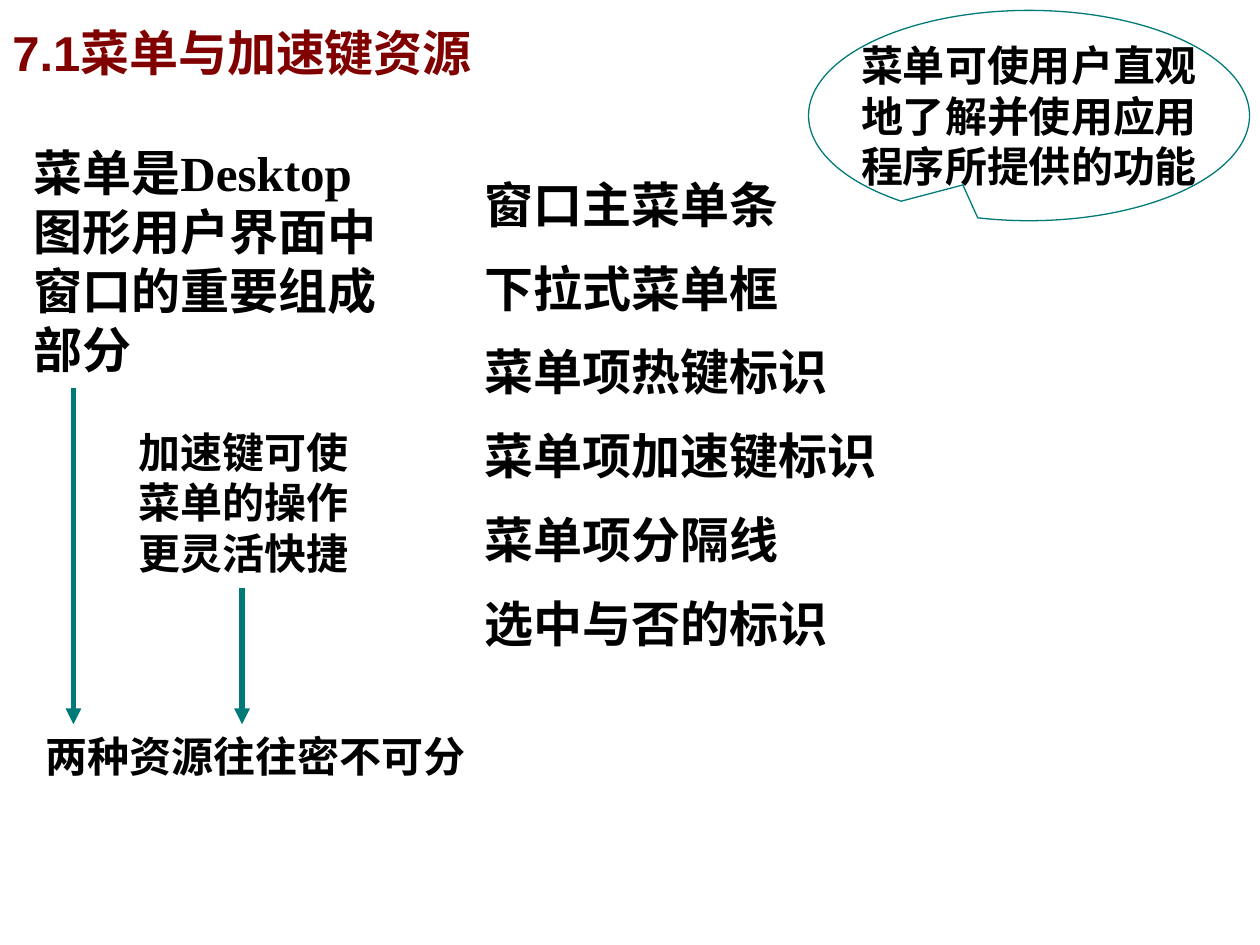
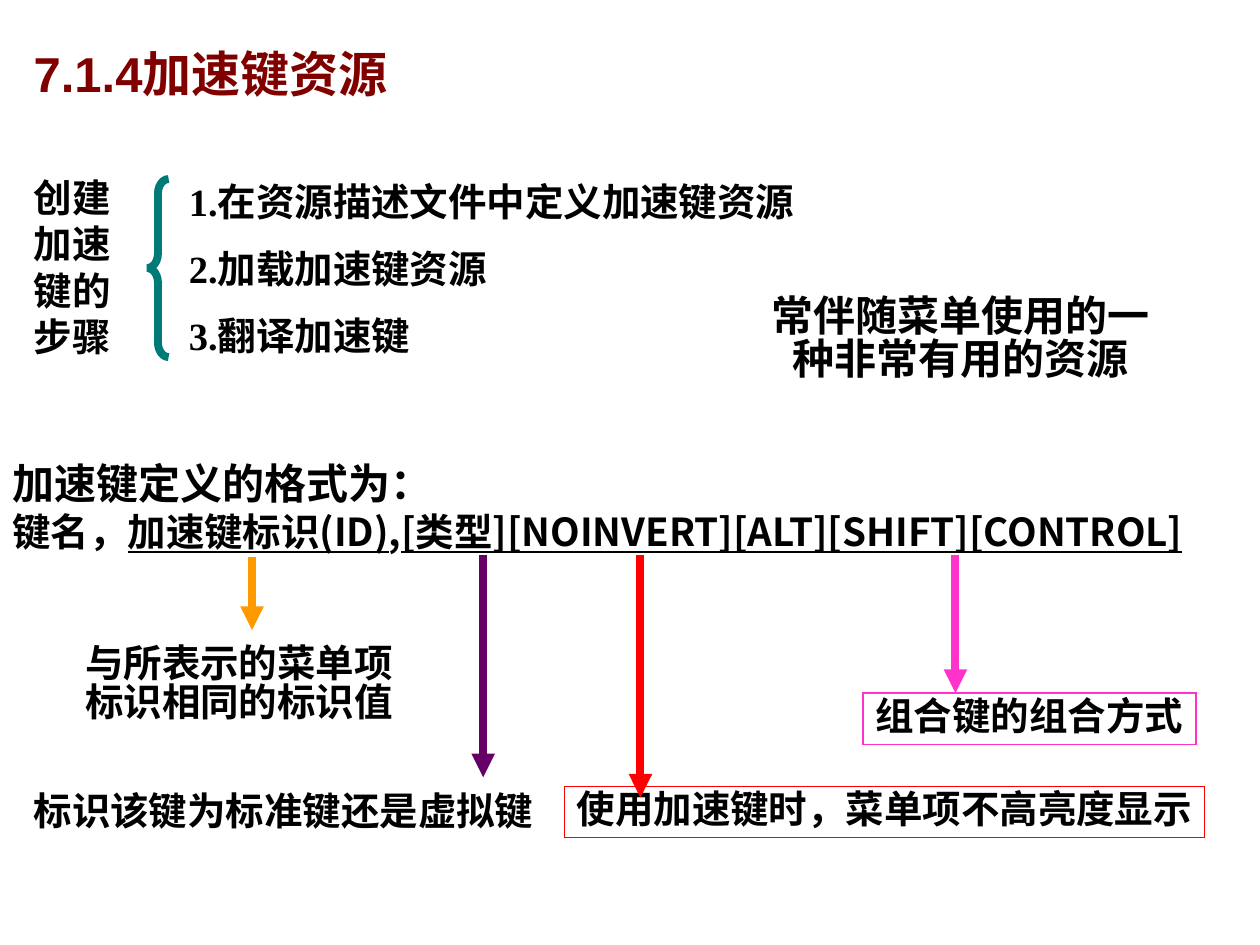
from pptx import Presentation
from pptx.dml.color import RGBColor
from pptx.enum.shapes import MSO_CONNECTOR, MSO_SHAPE
from pptx.enum.text import MSO_ANCHOR, PP_ALIGN
from pptx.oxml.ns import qn
from pptx.util import Cm, Pt

LINE = MSO_CONNECTOR.STRAIGHT
RECT = MSO_SHAPE.RECTANGLE
BRACE = MSO_SHAPE.LEFT_BRACE
CALLOUT = MSO_SHAPE.OVAL_CALLOUT
TOP, MIDDLE = MSO_ANCHOR.TOP, MSO_ANCHOR.MIDDLE
LEFT, CENTER = PP_ALIGN.LEFT, PP_ALIGN.CENTER

SERIF, SANS, CJK = "Times New Roman", "Arial", "Noto Sans CJK SC"
COLORS = {
    "text": "000000", "title": "800000", "teal": "007A77", "pink": "FF33CC",
    "red": "FF0000", "purple": "660066", "orange": "FF9900",
}

# Slide 1 content (lengths in cm)
MENU_TITLE = ("7.1菜单与加速键资源", (0, 0, 12.7, 2.11))
MENU_INTRO = "菜单是Desktop图形用户界面中窗口的重要组成部分"
MENU_BENEFIT = ["菜单可使用户直观", "地了解并使用应用", "程序所提供的功能"]
ACCEL_BENEFIT = "加速键可使菜单的操作更灵活快捷"
CONCLUSION = "两种资源往往密不可分"
MENU_PARTS = ["窗口主菜单条", "下拉式菜单框", "菜单项热键标识",
              "菜单项加速键标识", "菜单项分隔线", "选中与否的标识"]
MENU_ARROWS = [(1.48, 7.82, 14.6), (4.88, 11.86, 14.6)]  # x, top, bottom

# Slide 2 content
ACCEL_TITLE = ("7.1.4加速键资源", (0.43, 0.63, 10.16, 1.7))
STEPS_LABEL = "创建加速键的步骤"
STEPS = [("1.在资源描述文件中定义加速键资源", 13.1),
         ("2.加载加速键资源", 6.9), ("3.翻译加速键", 5.35)]  # text, width
ACCEL_NOTE = "常伴随菜单使用的一种非常有用的资源"
FORMAT_HEAD = "加速键定义的格式为："
FORMAT_RUNS = [("键名，", False), ("加速键标识(ID)", True), (",", False),
               ("[类型][NOINVERT][ALT][SHIFT][CONTROL]", True)]
# text, box, font, frame colour, wrap
FIELD_NOTES = [
    ("组合键的组合方式", (17.4, 13.97, 6.71, 1.04), SERIF, "pink", False),
    ("使用加速键时，菜单项不高亮度显示", (11.38, 15.85, 12.9, 1.04), CJK, "red", False),
    ("标识该键为标准键还是虚拟键", (0.43, 15.88, 10.8, 1.04), SERIF, None, False),
    ("与所表示的菜单项标识相同的标识值", (1.47, 12.9, 6.99, 1.85), SERIF, None, True),
]
FIELD_ARROWS = [("pink", 19.26, 11.18, 13.97), ("red", 12.91, 11.18, 16.08),
                ("purple", 9.74, 11.18, 15.67), ("orange", 5.08, 11.23, 12.7)]


def rgb(name):
    return RGBColor.from_string(COLORS[name])


def add_run(p, text, size, font=SERIF, color="text", underline=False):
    r = p.add_run()
    r.text = text
    f = r.font
    f.size, f.bold, f.name = Pt(size), True, font
    f.color.rgb = rgb(color)
    if underline:
        f.underline = True
    ea = r._r.get_or_add_rPr().makeelement(qn("a:ea"), {"typeface": CJK})
    f._element.find(qn("a:latin")).addnext(ea)


def fill_text(sp, lines, size, font=SERIF, color="text", align=LEFT,
              anchor=TOP, wrap=True, spacing=None):
    tf = sp.text_frame
    tf.word_wrap, tf.vertical_anchor = wrap, anchor
    for i, line in enumerate(lines):
        p = tf.paragraphs[0] if i == 0 else tf.add_paragraph()
        p.alignment = align
        if spacing:
            p.line_spacing = spacing
        add_run(p, line, size, font, color)
    return tf


def add_text(s, box, text, size, **style):
    return fill_text(s.shapes.add_textbox(*map(Cm, box)), [text], size, **style)


def add_outline(s, kind, box, color, width, adjustments=()):
    sp = s.shapes.add_shape(kind, *map(Cm, box))
    sp.shadow.inherit = False
    sp.fill.background()
    sp.line.color.rgb = rgb(color)
    sp.line.width = Pt(width)
    ln = sp.line._get_or_add_ln()
    ln.append(ln.makeelement(qn("a:miter"), {"lim": "800000"}))
    for i, value in enumerate(adjustments):
        sp.adjustments[i] = value
    return sp


def add_arrow(s, x, top, bottom, color, width):
    c = s.shapes.add_connector(LINE, Cm(x), Cm(top), Cm(x), Cm(bottom))
    c.line.color.rgb = rgb(color)
    c.line.width = Pt(width)
    ln = c.line._get_or_add_ln()
    ln.append(ln.makeelement(qn("a:tailEnd"), {"type": "triangle"}))
    ln.addnext(ln.makeelement(qn("a:effectLst"), {}))


def new_slide(prs, title):
    s = prs.slides.add_slide(prs.slide_layouts[6])
    text, box = title
    add_text(s, box, text, 28, font=SANS, color="title", anchor=MIDDLE)
    return s


def line_width(text, size):
    """Width in cm of a line of full-width characters, both insets and some slack."""
    return round(len(text) * size * 2.54 / 72 + 0.6, 2)


def build_menu_slide(prs):
    s = new_slide(prs, MENU_TITLE)
    add_text(s, (0.43, 2.75, 7.82, 5), MENU_INTRO, 28)
    bubble = add_outline(s, CALLOUT, (16.3, 0.21, 8.89, 4.24), "teal", 0.75, (-0.15, 0.33))
    fill_text(bubble, MENU_BENEFIT, 24, align=CENTER, anchor=MIDDLE, wrap=False)
    add_text(s, (2.54, 8.47, 5.08, 3.3), ACCEL_BENEFIT, 24)
    add_text(s, (0.66, 14.6, line_width(CONCLUSION, 24), 1.27), CONCLUSION, 24, wrap=False)
    for x, top, bottom in MENU_ARROWS:
        add_arrow(s, x, top, bottom, "teal", 3)
    # Evenly spaced parts of a menu
    for i, part in enumerate(MENU_PARTS):
        box = (9.52, 3.39 + 1.69 * i, line_width(part, 28), 1.44)
        add_text(s, box, part, 28, wrap=False)


def build_accelerator_slide(prs):
    s = new_slide(prs, ACCEL_TITLE)
    add_text(s, (15.24, 5.44, 8.23, 2.82), ACCEL_NOTE, 24,
             align=CENTER, anchor=MIDDLE, spacing=0.85)
    # Steps joined by a brace
    add_text(s, (0.43, 3.39, 2.34, 3.99), STEPS_LABEL, 22)
    add_outline(s, BRACE, (2.97, 3.61, 0.43, 3.59), "teal", 4.5, (0.68, 0.5))
    for i, (step, width) in enumerate(STEPS):
        add_text(s, (3.56, 3.46 + 1.35 * i, width, 1.19), step, 22, wrap=False)
    # Definition format
    tf = add_text(s, (0, 9.1, 25.4, 2.21), FORMAT_HEAD, 24)
    p = tf.add_paragraph()
    for text, underline in FORMAT_RUNS:
        add_run(p, text, 22, CJK, underline=underline)
    # Notes on the fields
    for text, box, font, frame, wrap in FIELD_NOTES:
        if frame:
            sp = add_outline(s, RECT, box, frame, 0.75)
        else:
            sp = s.shapes.add_textbox(*map(Cm, box))
        fill_text(sp, [text], 22, font=font, wrap=wrap, spacing=0.85)
    for color, x, top, bottom in FIELD_ARROWS:
        add_arrow(s, x, top, bottom, color, 4.5)


def main():
    prs = Presentation()
    prs.slide_width, prs.slide_height = Cm(25.4), Cm(19.05)
    build_menu_slide(prs)
    build_accelerator_slide(prs)
    prs.save("out.pptx")


if __name__ == "__main__":
    main()
